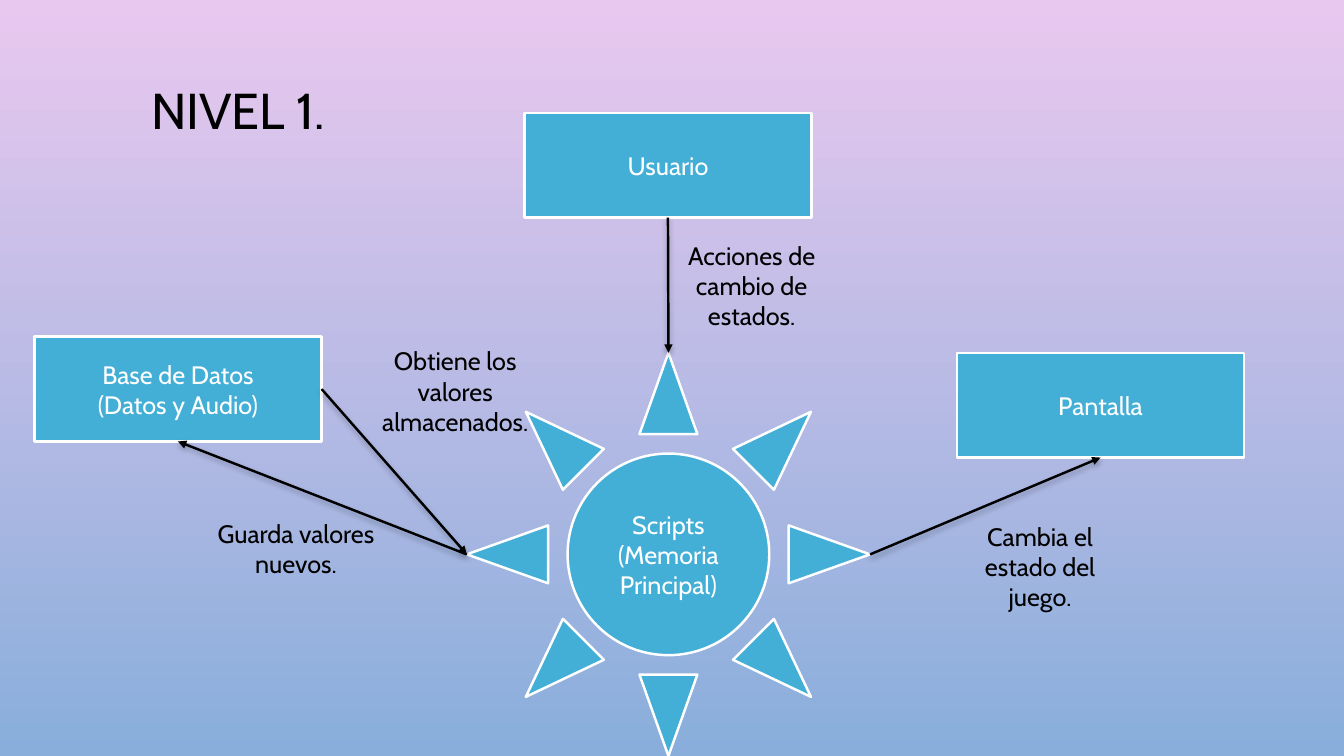
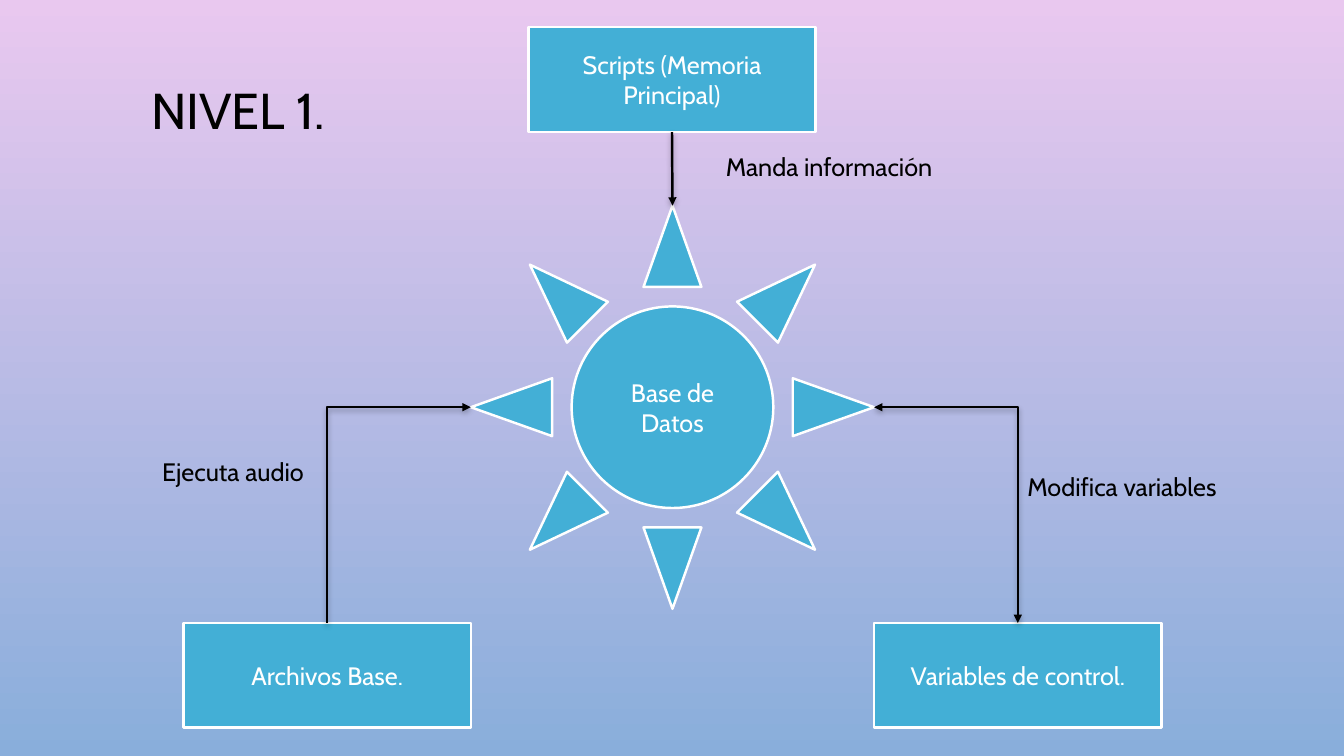
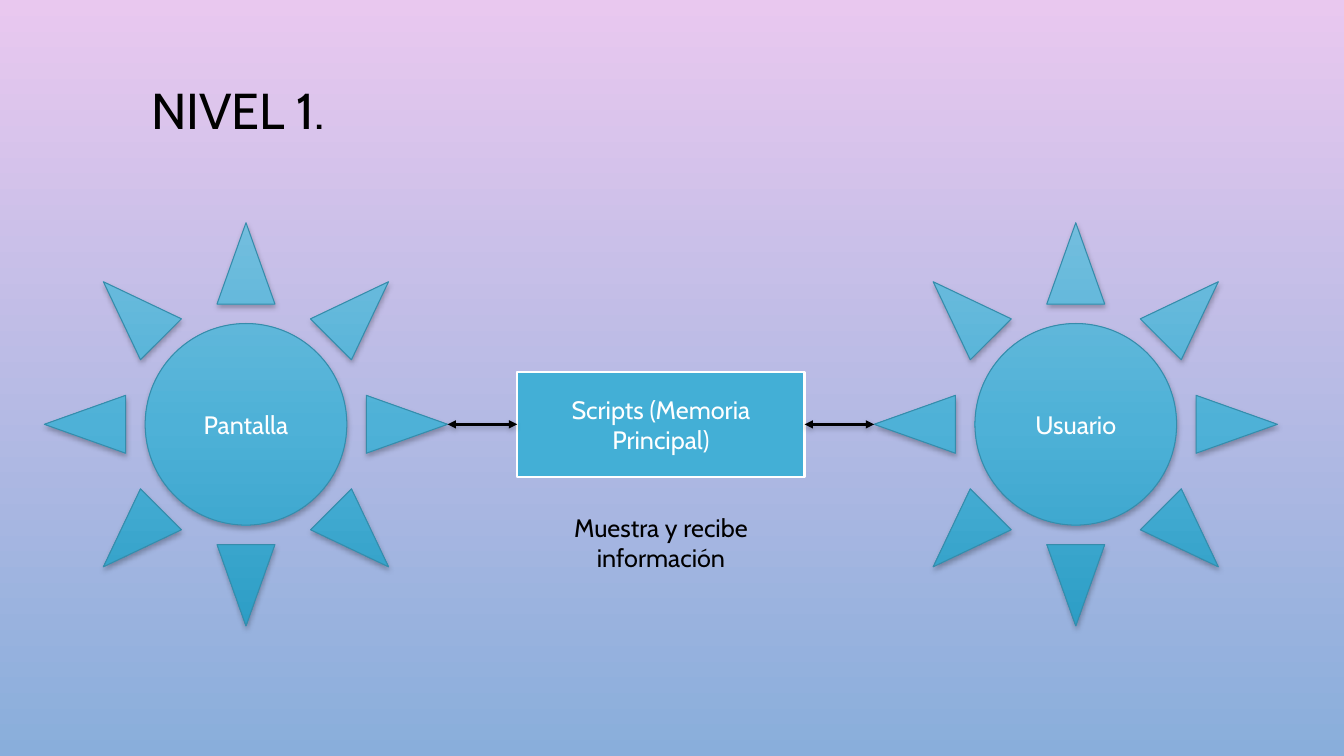
from copy import deepcopy

from lxml.etree import SubElement
from pptx import Presentation
from pptx.dml.color import RGBColor
from pptx.enum.shapes import MSO_CONNECTOR, MSO_SHAPE
from pptx.enum.text import MSO_ANCHOR, MSO_AUTO_SIZE, PP_ALIGN
from pptx.oxml.ns import qn
from pptx.util import Inches, Pt

COLORS = {
    "bg_top": "E9C8EF", "bg_bottom": "89AEDB",
    "fill": "43AFD6", "edge": "FFFFFF", "light_text": "FFFFFF",
    "ink": "000000", "sun_edge": "368CAB",
    "sun_top": "73BEDE", "sun_mid": "4EB1D7", "sun_bottom": "2D9EC6",
}
FONT = "Cabin"
BOX_W, BOX_H, SUN = 2.85, 1.04, 4
TOP, LEFT, BOTTOM, RIGHT = range(4)  # connection sites


def rgb(name):
    return RGBColor.from_string(COLORS[name])


def style_text(tf, color, size=18, align=PP_ALIGN.CENTER):
    for p in tf.paragraphs:
        p.alignment = align
        for r in p.runs:
            r.font.name, r.font.size = FONT, Pt(size)
            r.font.color.rgb = rgb(color)


def set_gradient(fill, *names):
    """Vertical gradient with evenly spaced stops, top to bottom."""
    fill.gradient()
    fill.gradient_angle = 270
    gs_lst = fill._fill._gradFill.find(qn("a:gsLst"))
    while len(gs_lst) < len(names):
        gs_lst.append(deepcopy(gs_lst[0]))
    for i, (stop, name) in enumerate(zip(fill.gradient_stops, names)):
        stop.color.rgb = rgb(name)
        stop.position = i / (len(names) - 1)


def add_shadow(shape):
    sp_pr = shape._element.spPr
    effects = sp_pr.find(qn("a:effectLst"))
    if effects is None:
        effects = SubElement(sp_pr, qn("a:effectLst"))
    shadow = SubElement(effects, qn("a:outerShdw"), blurRad=str(Pt(4)),
                        dist=str(Pt(2)), dir="5400000", rotWithShape="0")
    color = SubElement(shadow, qn("a:srgbClr"), val=COLORS["ink"])
    SubElement(color, qn("a:alpha"), val="28000")


# Diagram parts
def add_node(s, kind, text, x, y, w, h):
    sp = s.shapes.add_shape(kind, Inches(x), Inches(y), Inches(w), Inches(h))
    sp.shadow.inherit = False
    sp.fill.solid()
    sp.fill.fore_color.rgb = rgb("fill")
    sp.line.color.rgb = rgb("edge")
    sp.line.width = Pt(1.75)
    tf = sp.text_frame
    tf.word_wrap = True
    tf.vertical_anchor = MSO_ANCHOR.MIDDLE
    tf.text = text
    style_text(tf, "light_text")
    return sp


def add_box(s, text, x, y):
    return add_node(s, MSO_SHAPE.RECTANGLE, text, x, y, BOX_W, BOX_H)


def add_sun(s, text, x, y, glossy=False):
    sp = add_node(s, MSO_SHAPE.SUN, text, x, y, SUN, SUN)
    if glossy:
        set_gradient(sp.fill, "sun_top", "sun_mid", "sun_bottom")
        sp.line.color.rgb = rgb("sun_edge")
        sp.line.width = Pt(0.75)
        add_shadow(sp)
    return sp


def add_label(s, text, x, y, w, h, align=PP_ALIGN.CENTER):
    tf = s.shapes.add_textbox(Inches(x), Inches(y), Inches(w), Inches(h)).text_frame
    tf.word_wrap = True
    tf.auto_size = MSO_AUTO_SIZE.SHAPE_TO_FIT_TEXT
    tf.text = text
    style_text(tf, "ink", align=align)


def add_arrow(s, start, start_site, end, end_site, ends=("tailEnd",), bent=False):
    kind = MSO_CONNECTOR.ELBOW if bent else MSO_CONNECTOR.STRAIGHT
    cx = s.shapes.add_connector(kind, 0, 0, 0, 0)
    cx.begin_connect(start, start_site)
    cx.end_connect(end, end_site)
    if bent:  # a single corner
        cx._element.spPr.find(qn("a:prstGeom")).set("prst", "bentConnector2")
    cx.line.color.rgb = rgb("ink")
    cx.line.width = Pt(1.75)
    ln = cx._element.spPr.find(qn("a:ln"))
    for end_name in ends:
        SubElement(ln, qn("a:" + end_name), type="triangle")
    add_shadow(cx)


# Shared look
def style_template(prs):
    set_gradient(prs.slide_master.background.fill, "bg_top", "bg_bottom")
    layout = prs.slide_layouts[5]
    title = layout.placeholders[0]
    title.left, title.top = Inches(0.92), Inches(0.4)
    title.width, title.height = Inches(2.88), Inches(1.45)
    return layout


def add_slide(prs, layout):
    s = prs.slides.add_slide(layout)
    tf = s.shapes.title.text_frame
    tf.text = "NIVEL 1."
    tf.vertical_anchor = MSO_ANCHOR.MIDDLE
    tf.paragraphs[0].line_spacing = 0.9
    style_text(tf, "ink", size=36)
    return s


# Slides
def build_scripts(s):
    data = add_box(s, "Base de Datos\n(Datos y Audio)", 0.34, 3.34)
    screen = add_box(s, "Pantalla", 9.49, 3.5)
    user = add_box(s, "Usuario", 5.2, 1.12)
    sun = add_sun(s, "Scripts (Memoria Principal)", 4.63, 3.5)
    for link in [(data, RIGHT, sun, LEFT), (sun, LEFT, data, BOTTOM),
                 (user, BOTTOM, sun, TOP), (sun, RIGHT, screen, BOTTOM)]:
        add_arrow(s, *link)
    for text, x, y, h in [("Acciones de cambio de estados.", 6.48, 2.33, 1.01),
                          ("Cambia el estado del juego.", 9.34, 5.12, 0.71),
                          ("Obtiene los valores almacenados.", 3.54, 3.38, 1.01),
                          ("Guarda valores nuevos.", 1.96, 5.09, 0.71)]:
        add_label(s, text, x, y, 1.95, h)


def build_database(s):
    sun = add_sun(s, "Base de Datos", 4.67, 2.04)
    variables = add_box(s, "Variables de control.", 8.67, 6.18)
    files = add_box(s, "Archivos Base.", 1.82, 6.18)
    scripts = add_box(s, "Scripts (Memoria Principal)", 5.24, 0.27)
    add_arrow(s, scripts, BOTTOM, sun, TOP)
    add_arrow(s, sun, LEFT, files, TOP, ends=("headEnd",), bent=True)
    add_arrow(s, sun, RIGHT, variables, TOP, ends=("headEnd", "tailEnd"), bent=True)
    for text, x, y in [("Manda información", 7.1, 1.45),
                       ("Ejecuta audio", 1.51, 4.48),
                       ("Modifica variables", 10.09, 4.63)]:
        add_label(s, text, x, y, 2.29, 0.4, PP_ALIGN.LEFT)


def build_interaction(s):
    screen = add_sun(s, "Pantalla", 0.44, 2.21, glossy=True)
    user = add_sun(s, "Usuario", 8.67, 2.21, glossy=True)
    scripts = add_box(s, "Scripts (Memoria Principal)", 5.13, 3.69)
    for start, end in [(screen, scripts), (scripts, user)]:
        add_arrow(s, start, RIGHT, end, LEFT, ends=("headEnd", "tailEnd"))
    add_label(s, "Muestra y recibe información", 5.13, 5.03, BOX_W, 0.71)


def main():
    prs = Presentation()
    prs.slide_width, prs.slide_height = Inches(13.33), Inches(7.5)
    layout = style_template(prs)
    for build in (build_scripts, build_database, build_interaction):
        build(add_slide(prs, layout))
    prs.save("out.pptx")


if __name__ == "__main__":
    main()
